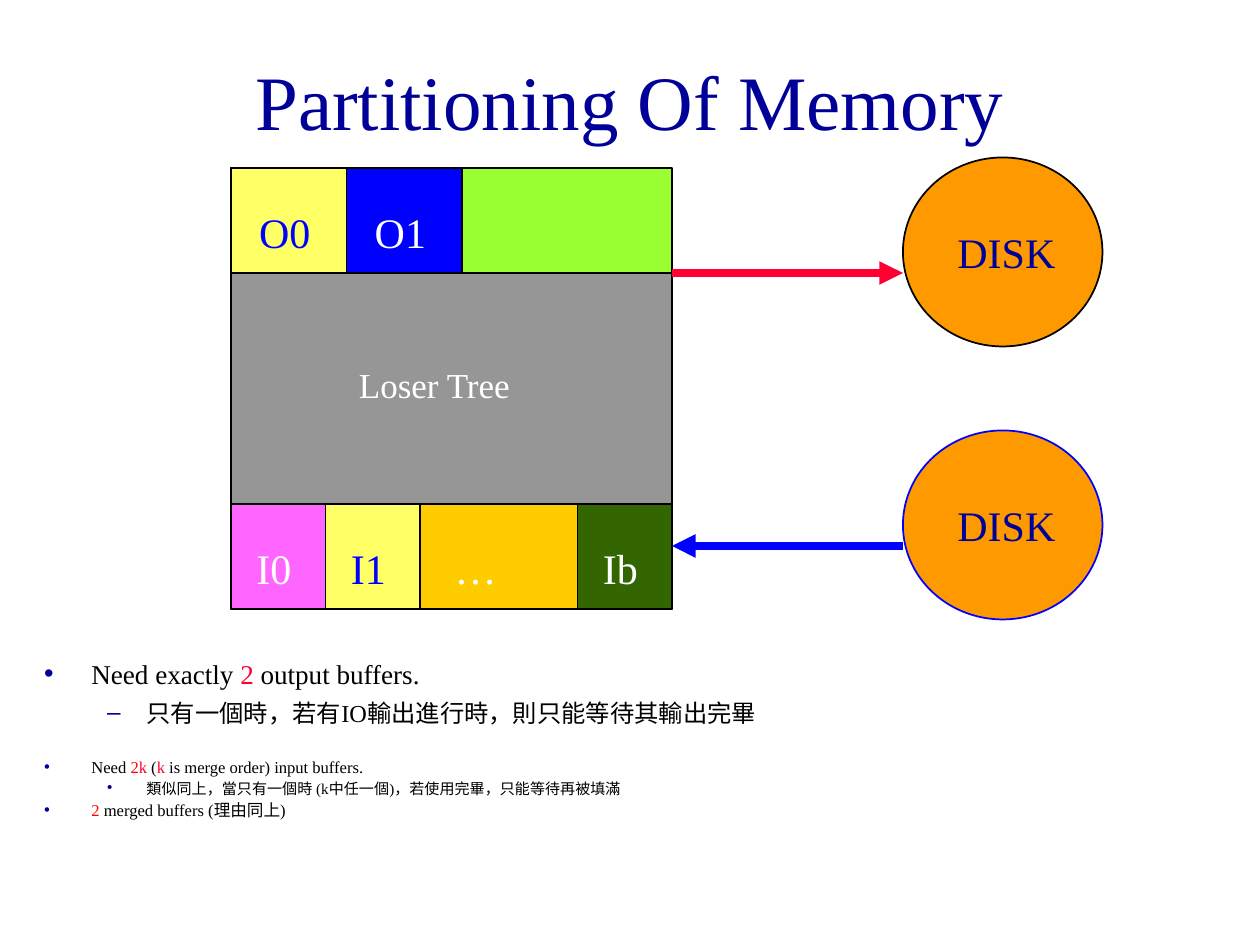
from dataclasses import dataclass

from lxml import etree
from pptx import Presentation
from pptx.dml.color import RGBColor
from pptx.enum import shapes, text
from pptx.oxml import ns
from pptx.util import Emu, Pt

EMU_PER_PX = 9525


@dataclass(frozen=True)
class Theme:
    font: str = "Times New Roman"
    navy: str = "000099"
    black: str = "000000"
    white: str = "FFFFFF"
    blue: str = "0000FF"
    red: str = "FF0033"
    bright_red: str = "FF0000"
    yellow: str = "FFFF66"
    lime: str = "99FF33"
    gray: str = "969696"
    pink: str = "FF66FF"
    gold: str = "FFCC00"
    green: str = "336600"
    orange: str = "FF9900"
    title: float = 44
    label: float = 24
    tree: float = 20
    thin: float = 1
    thick: float = 4.5


THEME = Theme()


def px(value):
    return Emu(value * EMU_PER_PX)


def rgb(color):
    return RGBColor.from_string(color)


def place(shape, box):
    shape.left, shape.top, shape.width, shape.height = map(px, box)


def add_run(paragraph, content, *, size, color):
    run = paragraph.add_run()
    run.text = content
    run.font.name = THEME.font
    run.font.size = Pt(size)
    run.font.color.rgb = rgb(color)


def add_label(slide, box, content, *, size=THEME.label, color=THEME.white):
    frame = slide.shapes.add_textbox(*map(px, box)).text_frame
    frame.word_wrap = True
    add_run(frame.paragraphs[0], content, size=size, color=color)


def add_block(slide, box, fill, *, kind=shapes.MSO_SHAPE.RECTANGLE, line=THEME.black):
    shape = slide.shapes.add_shape(kind, *map(px, box))
    shape.shadow.inherit = False
    shape.fill.solid()
    shape.fill.fore_color.rgb = rgb(fill)
    shape.line.color.rgb = rgb(line)
    shape.line.width = Pt(THEME.thin)


def add_arrow(slide, start, end, color):
    arrow = slide.shapes.add_connector(
        shapes.MSO_CONNECTOR.STRAIGHT, *map(px, start + end))
    arrow.line.color.rgb = rgb(color)
    arrow.line.width = Pt(THEME.thick)
    etree.SubElement(arrow.line._get_or_add_ln(), ns.qn("a:tailEnd"), type="triangle")
    etree.SubElement(arrow._element.spPr, ns.qn("a:effectLst"))


def add_buffers(slide, box, buffers):
    left, top, _, height = box
    for content, width, fill, color in buffers:
        add_block(slide, (left, top, width, height), fill)
        indent = width // 7
        add_label(slide, (left + indent, top + 25, width - indent, 48),
                  content, color=color)
        left += width


def add_memory(slide, box):
    left, top, width, height = box
    row = 80
    add_block(slide, box, THEME.lime)
    add_buffers(slide, (left, top, width, row), [
        ("O0", 88, THEME.yellow, THEME.blue),
        ("O1", 88, THEME.blue, THEME.white),
    ])
    add_block(slide, (left, top + row, width, height - 2 * row), THEME.gray)
    add_label(slide, (left + 88, top + row + 64, 176, 42), "Loser Tree", size=THEME.tree)
    add_buffers(slide, (left, top + height - row, width, row), [
        ("I0", 72, THEME.pink, THEME.white),
        ("I1", 72, THEME.yellow, THEME.blue),
        ("…", 120, THEME.gold, THEME.white),
        ("Ib", 72, THEME.green, THEME.white),
    ])


def add_disk(slide, box, line):
    left, top, _, _ = box
    add_block(slide, box, THEME.orange, kind=shapes.MSO_SHAPE.OVAL, line=line)
    add_label(slide, (left + 32, top + 48, 128, 48), "DISK", color=THEME.navy)


def set_bullet(paragraph, mark, level):
    margin, hanging = ((36, 36), (78, 30))[level]
    paragraph.level = level
    properties = paragraph._p.get_or_add_pPr()
    properties.set("marL", str(px(margin)))
    properties.set("indent", str(px(-hanging)))
    color = etree.SubElement(properties, ns.qn("a:buClr"))
    etree.SubElement(color, ns.qn("a:srgbClr"), val=THEME.navy)
    etree.SubElement(properties, ns.qn("a:buChar"), char=mark)


def fill_list(placeholder, box, items, *, sizes, spacing=1.0):
    place(placeholder, box)
    frame = placeholder.text_frame
    frame.auto_size = text.MSO_AUTO_SIZE.NONE
    for index, (level, mark, runs) in enumerate(items):
        paragraph = frame.add_paragraph() if index else frame.paragraphs[0]
        paragraph.line_spacing = spacing
        paragraph.space_before = Pt((5, 4.5)[level] if index else 0)
        set_bullet(paragraph, mark, level)
        for content, color in runs:
            add_run(paragraph, content, size=sizes[level], color=color)


def fill_title(placeholder, box, content):
    place(placeholder, box)
    frame = placeholder.text_frame
    frame.vertical_anchor = text.MSO_ANCHOR.MIDDLE
    frame.auto_size = text.MSO_AUTO_SIZE.NONE
    frame.paragraphs[0].alignment = text.PP_ALIGN.CENTER
    add_run(frame.paragraphs[0], content, size=THEME.title, color=THEME.navy)


def main():
    presentation = Presentation()
    presentation.slide_width, presentation.slide_height = px(960), px(720)
    slide = presentation.slides.add_slide(presentation.slide_layouts[3])
    title, output_list, input_list = slide.placeholders

    fill_title(title, (72, 16, 816, 120), "Partitioning Of Memory")
    add_memory(slide, (176, 128, 336, 336))
    add_disk(slide, (688, 120, 152, 144), THEME.black)
    add_disk(slide, (688, 328, 152, 144), THEME.blue)
    add_arrow(slide, (512, 208), (688, 208), THEME.red)
    add_arrow(slide, (688, 416), (512, 416), THEME.blue)

    fill_list(output_list, (24, 496, 912, 64), [
        (0, "•", [("Need exactly ", THEME.black), ("2", THEME.red),
                  (" output buffers.", THEME.black)]),
        (1, "–", [("只有一個時，若有IO輸出進行時，則只能等待其輸出完畢", THEME.black)]),
    ], sizes=(15.5, 13.9))
    fill_list(input_list, (24, 576, 912, 56), [
        (0, "•", [("Need ", THEME.black), ("2", THEME.bright_red), ("k", THEME.red),
                  (" (", THEME.black), ("k", THEME.red),
                  (" is merge order) input buffers.", THEME.black)]),
        (1, "•", [("類似同上，當只有一個時 (k中任一個)，若使用完畢，只能等待再被填滿",
                   THEME.black)]),
        (0, "•", [("2 ", THEME.bright_red), ("merged buffers (理由同上)", THEME.black)]),
    ], sizes=(9.5, 8.6), spacing=0.7)

    presentation.save("out.pptx")


if __name__ == "__main__":
    main()
